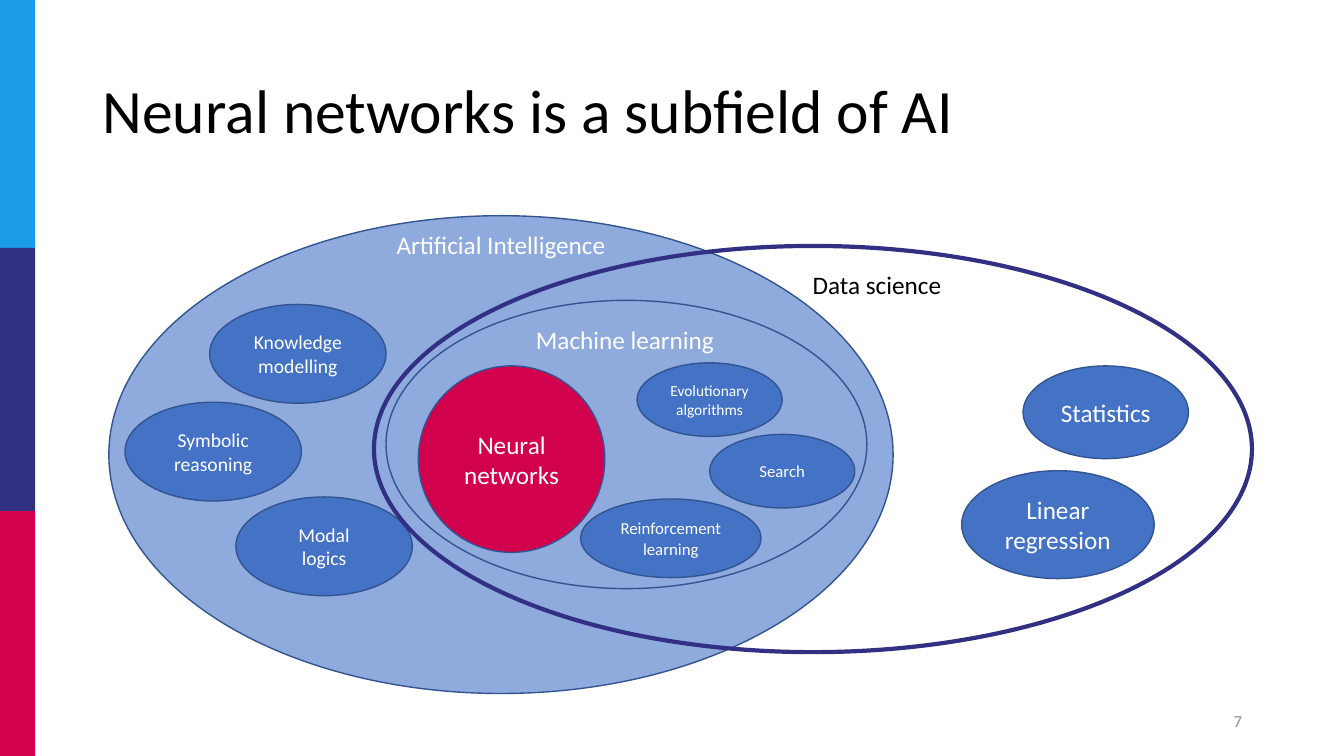
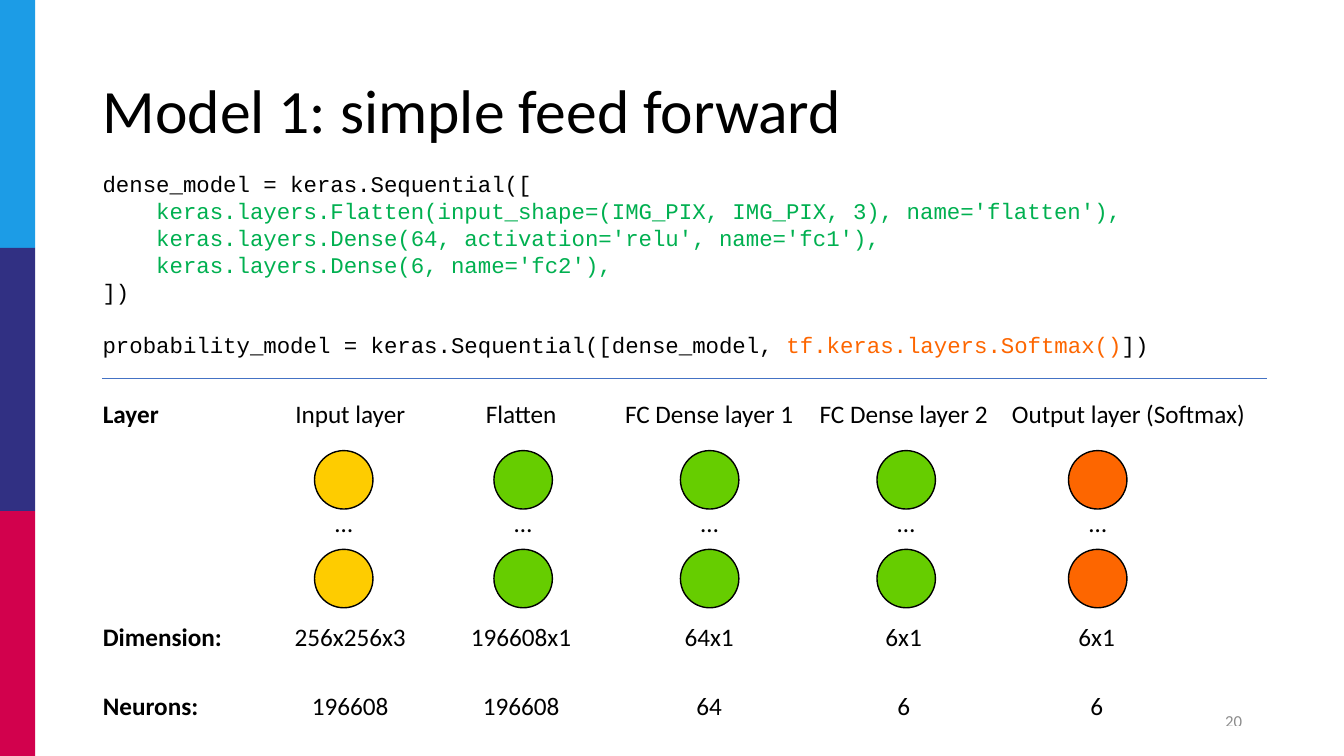
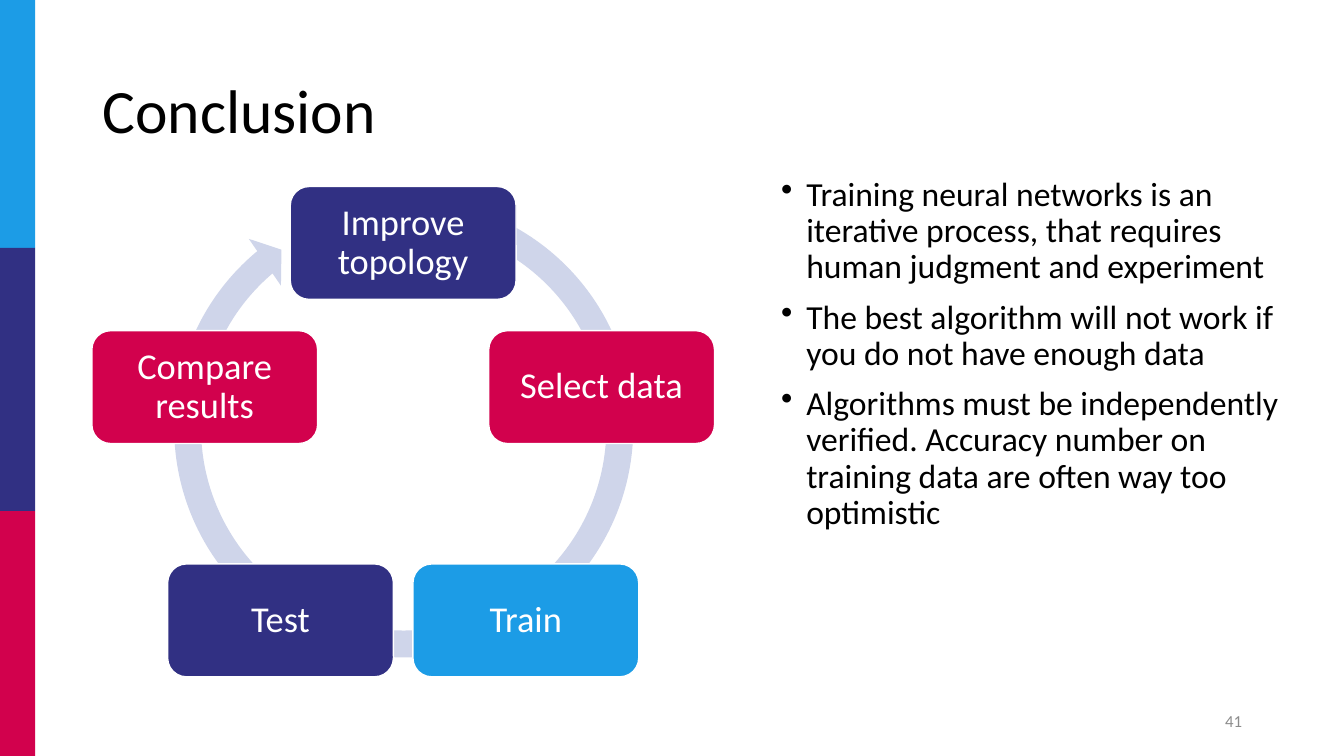
import math

import lxml.etree
import pptx
import pptx.dml.color
import pptx.enum.shapes
import pptx.enum.text
import pptx.oxml.ns
import pptx.util

SHAPE = pptx.enum.shapes.MSO_SHAPE
ALIGN = pptx.enum.text.PP_ALIGN
ANCHOR = pptx.enum.text.MSO_ANCHOR

# Shared style
SKY, NAVY, RED = "1C9CE6", "313083", "D2014D"
BLUE, PALE, EDGE = "4472C4", "8FAADC", "325491"
BLACK, WHITE, GREY = "000000", "FFFFFF", "8C8C8C"
CODE_GREEN, YELLOW, GREEN, ORANGE = "00B050", "FECC00", "66CD00", "FD6600"
RING = "CFD5EA"
COLUMNS, ROWS = 133.33, 75  # square grid cells, a tenth of an inch wide


def color(code):
    return pptx.dml.color.RGBColor.from_string(code)


def grid(*cells):
    return [pptx.util.Inches(cell / 10) for cell in cells]


class Slides:
    """Holds the deck, the current page and the shared look."""

    def __init__(self):
        self.deck = pptx.Presentation()
        self.deck.slide_width, self.deck.slide_height = grid(COLUMNS, ROWS)
        self.page = None

    def start(self, title, number):
        self.page = self.deck.slides.add_slide(self.deck.slide_layouts[6])
        stops = (0, 24.6, 50.7, ROWS)
        for top, bottom, fill in zip(stops, stops[1:], (SKY, NAVY, RED)):
            self.shape(SHAPE.RECTANGLE, (0, top, 3.5, bottom - top), fill)
        self.text((9.2, 4, 115, 14.5), [title], 44, spacing=0.9, anchor=ANCHOR.MIDDLE)
        self.text((94.2, 69.5, 30, 4), [number], 12, GREY, ALIGN.RIGHT,
                  anchor=ANCHOR.MIDDLE)

    def fill_text(self, frame, lines, size, ink=BLACK, align=ALIGN.LEFT, name="Calibri",
                  bold=False, spacing=None, before=0, bullet=None):
        """Each line is a string or a list of (text, colour) spans."""
        frame.word_wrap = True
        for index, line in enumerate(lines):
            para = frame.add_paragraph() if index else frame.paragraphs[0]
            if bullet:
                properties = para._p.get_or_add_pPr()
                indent = pptx.util.Inches(0.25)
                properties.set("marL", str(indent))
                properties.set("indent", str(-indent))
                mark = lxml.etree.SubElement(properties, pptx.oxml.ns.qn("a:buChar"))
                mark.set("char", bullet)
            para.alignment = align
            if spacing:
                para.line_spacing = spacing
            if index and before:
                para.space_before = pptx.util.Pt(before)
            para.font.name, para.font.bold = name, bold
            para.font.size = pptx.util.Pt(size)
            para.font.color.rgb = color(ink)
            for words, shade in [(line, ink)] if isinstance(line, str) else line:
                span = para.add_run()
                span.text = words
                if shade != ink:
                    span.font.color.rgb = color(shade)

    def text(self, place, lines, size, *style, anchor=ANCHOR.TOP, **options):
        box = self.page.shapes.add_textbox(*grid(*place))
        box.text_frame.vertical_anchor = anchor
        self.fill_text(box.text_frame, lines, size, *style, **options)
        return box.text_frame

    def label(self, middle, row, words, ink):
        self.text((middle - 15, row - 2, 30, 4), [words], 18, ink, ALIGN.CENTER,
                  anchor=ANCHOR.MIDDLE)

    def shape(self, kind, place, fill=None, line=None, width=1, lines=(), size=18,
              inset=None, **options):
        shape = self.page.shapes.add_shape(kind, *grid(*place))
        shape.shadow.inherit = False
        if fill:
            shape.fill.solid()
            shape.fill.fore_color.rgb = color(fill)
        else:
            shape.fill.background()
        if line:
            shape.line.color.rgb = color(line)
            shape.line.width = pptx.util.Pt(width)
        else:
            shape.line.fill.background()
        if lines:
            frame = shape.text_frame
            frame.vertical_anchor = ANCHOR.MIDDLE
            if inset:
                frame.margin_left = frame.margin_right = pptx.util.Inches(inset)
                frame.margin_top = frame.margin_bottom = pptx.util.Inches(inset)
            self.fill_text(frame, lines, size, WHITE, ALIGN.CENTER, **options)
        return shape

    def rule(self, left, right, row, line, width):
        connector = self.page.shapes.add_connector(
            pptx.enum.shapes.MSO_CONNECTOR.STRAIGHT, *grid(left, row, right, row))
        connector.line.color.rgb = color(line)
        connector.line.width = pptx.util.Pt(width)
        lxml.etree.SubElement(connector._element.spPr, pptx.oxml.ns.qn("a:effectLst"))

    def table(self, left, top, widths, heights, rows):
        place = grid(left, top, sum(widths), sum(heights))
        table = self.page.shapes.add_table(len(rows), len(widths), *place).table
        table.first_row = table.horz_banding = False
        for column, width in zip(table.columns, grid(*widths)):
            column.width = width
        for row, height in zip(table.rows, grid(*heights)):
            row.height = height
        for row, values in enumerate(rows):
            for column, value in enumerate(values):
                cell = table.cell(row, column)
                cell.fill.background()
                self.fill_text(cell.text_frame, [value], 18, bold=column == 0,
                               align=ALIGN.CENTER if column else ALIGN.LEFT)
        return table


def fields(slides):
    slides.start("Neural networks is a subfield of AI", "7")

    # Enclosing fields
    for place in ((10.8, 21.4, 77.8, 47.4), (38.3, 29.8, 47.7, 28.6)):
        slides.shape(SHAPE.OVAL, place, PALE, EDGE)

    # Topics
    topics = [
        ((41.5, 36.3, 18.5, 18.5), RED, 18, ["Neural networks"]),
        ((63.2, 36, 14.4, 7.3), BLUE, 11, ["Evolutionary algorithms"]),
        ((70.4, 43.1, 14.4, 7.3), BLUE, 12, ["Search"]),
        ((57.6, 49.5, 17.9, 7.8), BLUE, 12, ["Reinforcement learning"]),
        ((20.8, 30.2, 17.5, 9.8), BLUE, 14, ["Knowledge modelling"]),
        ((12.4, 39.9, 17.5, 9.8), BLUE, 14, ["Symbolic reasoning"]),
        ((23.4, 49.3, 17.5, 9.8), BLUE, 14, ["Modal", "logics"]),
        ((101.5, 36.3, 16.4, 9.2), BLUE, 18, ["Statistics"]),
        ((95.4, 46.7, 19.1, 10.7), BLUE, 18, ["Linear regression"]),
    ]
    for place, fill, size, lines in topics:
        slides.shape(SHAPE.OVAL, place, fill, EDGE, lines=lines, size=size)

    # Overlapping field and the field names
    slides.shape(SHAPE.OVAL, (37.1, 24.4, 87.1, 40.3), line=NAVY, width=3)
    slides.label(49.7, 24.3, "Artificial Intelligence", WHITE)
    slides.label(62, 33.7, "Machine learning", WHITE)
    slides.label(87, 28.2, "Data science", BLACK)


def feed_forward(slides):
    slides.start("Model 1: simple feed forward", "20")

    # Code
    pitch = 19.2
    code = [
        "dense_model = keras.Sequential([",
        [("    keras.layers.Flatten(input_shape=(IMG_PIX, IMG_PIX, 3), name='flatten'),",
          CODE_GREEN)],
        [("    keras.layers.Dense(64, activation='relu', name='fc1'),", CODE_GREEN)],
        [("    keras.layers.Dense(6, name='fc2'),", CODE_GREEN)],
        "])",
    ]
    model = [("probability_model = keras.Sequential([dense_model, ", BLACK),
             ("tf.keras.layers.Softmax()", ORANGE), ("])", BLACK)]
    frame = slides.text((9.2, 16.4, 115, 22.5), code + [model], 16,
                        name="Courier New", spacing=pptx.util.Pt(pitch))
    frame.paragraphs[-1].space_before = pptx.util.Pt(pitch)
    slides.rule(10.1, 125.7, 37.5, BLUE, 0.5)

    # Layer table
    table = slides.table(9.2, 39.1, (17.6, 15.9, 18, 19.3, 19.3, 25.3), (22.2, 6.8, 4), [
        ("Layer", "Input layer", "Flatten", "FC Dense layer 1", "FC Dense layer 2",
         "Output layer (Softmax)"),
        ("Dimension:", "256x256x3", "196608x1", "64x1", "6x1", "6x1"),
        ("Neurons:", "196608", "196608", "64", "6", "6"),
    ])
    for row in (1, 2):  # keeps the last values under their neurons
        table.cell(row, 5).margin_right = pptx.util.Inches(0.73)

    # Neurons of each layer
    neuron = 5.8
    layers = ((34.1, YELLOW), (51.9, GREEN), (70.4, GREEN), (89.9, GREEN), (108.9, ORANGE))
    for middle, fill in layers:
        for top in (44.7, 54.5):
            slides.shape(SHAPE.OVAL, (middle - neuron / 2, top, neuron, neuron), fill, BLACK)
        slides.text((middle - 2.2, 49.8, 4.4, 4), ["…"], 18, BLACK, ALIGN.CENTER)


def conclusion(slides):
    slides.start("Conclusion", "41")

    # Cycle: steps evenly spaced on a circle, clockwise from the top
    ring = slides.shape(SHAPE.CIRCULAR_ARROW, (15.8, 18.2, 48.5, 48.5), RING)
    for index, value in enumerate((0.055, 3.307, 138.022, 173.7, 0.058)):
        ring.adjustments[index] = value
    steps = (("Improve topology", NAVY), ("Select data", RED), ("Train", SKY),
             ("Test", NAVY), ("Compare results", RED))
    middle, center, radius, width, height = 40, 44.8, 20.7, 22.4, 11.2
    for index, (words, fill) in enumerate(steps):
        angle = math.tau * index / len(steps)
        left = middle + radius * math.sin(angle) - width / 2
        top = center - radius * math.cos(angle) - height / 2
        slides.shape(SHAPE.ROUNDED_RECTANGLE, (left, top, width, height), fill, WHITE,
                     lines=[words], size=26, inset=0.11, spacing=0.9)

    # Findings
    slides.text((76.5, 17.1, 53.2, 47.6), [
        "Training neural networks is an iterative process, that requires human "
        "judgment and experiment",
        "The best algorithm will not work if you do not have enough data",
        "Algorithms must be independently verified. Accuracy number on training "
        "data are often way too optimistic",
    ], 24, spacing=0.9, before=10, bullet="•")


def main():
    slides = Slides()
    fields(slides)
    feed_forward(slides)
    conclusion(slides)
    slides.deck.save("out.pptx")


if __name__ == "__main__":
    main()
